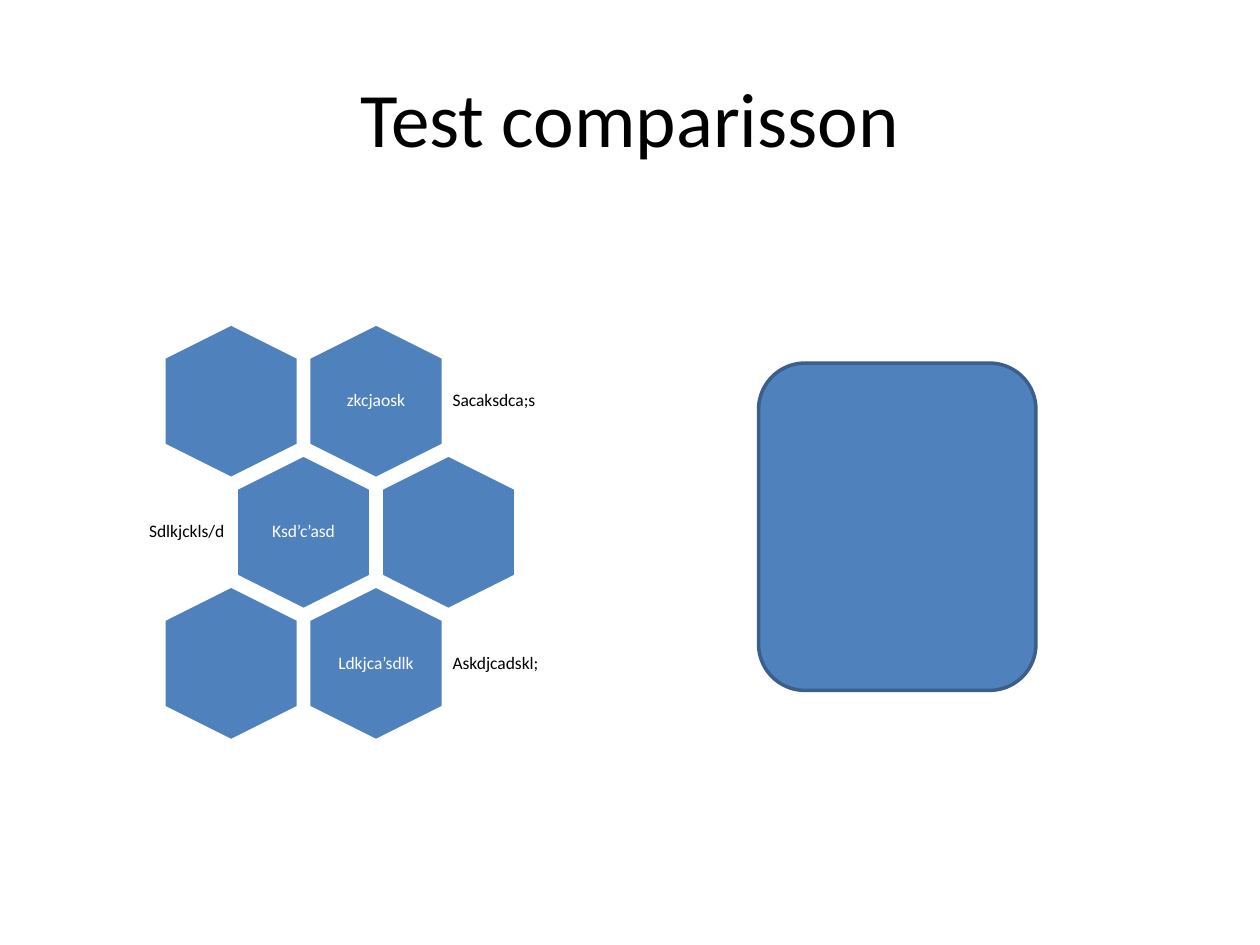
"""Build a slide with a labelled honeycomb beside a rounded panel."""
from pptx import Presentation
from pptx.dml.color import RGBColor
from pptx.enum.shapes import MSO_SHAPE
from pptx.enum.text import MSO_ANCHOR, PP_ALIGN
from pptx.util import Pt

FONT = "Calibri"
COLORS = {"blue": "4F81BD", "edge": "3A5F8C", "white": "FFFFFF", "black": "000000"}
ROWS = [
    (0, ["", "zkcjaosk"], "Sacaksdca;s", "right"),
    (41.4, ["Ksd’c’asd", ""], "Sdlkjckls/d", "left"),
    (0, ["", "Ldkjca’sdlk"], "Askdjcadskl;", "right"),
]


def color(name):
    return RGBColor.from_string(COLORS[name])


def style(para, size, tint, align):
    para.alignment = align
    para.font.name = FONT
    para.font.size = Pt(size)
    para.font.color.rgb = color(tint)


def add_block(slide, kind, box, edge):
    block = slide.shapes.add_shape(kind, *map(Pt, box))
    block.shadow.inherit = False
    block.fill.solid()
    block.fill.fore_color.rgb = color("blue")
    block.line.color.rgb = color(edge)
    block.line.width = Pt(2)
    return block


def add_label(slide, text, box, tint, align):
    frame = slide.shapes.add_textbox(*map(Pt, box)).text_frame
    frame.word_wrap = True
    frame.vertical_anchor = MSO_ANCHOR.MIDDLE
    frame.margin_left = frame.margin_right = Pt(3)
    frame.margin_top = frame.margin_bottom = Pt(3)
    para = frame.paragraphs[0]
    para.text = text
    para.line_spacing = 0.9
    style(para, 10, tint, align)


def add_title(slide, text, box):
    title = slide.shapes.title
    title.left, title.top, title.width, title.height = map(Pt, box)
    title.text_frame.vertical_anchor = MSO_ANCHOR.MIDDLE
    title.text_frame.text = text
    style(title.text_frame.paragraphs[0], 44, "black", PP_ALIGN.CENTER)


def add_comb(slide, box):
    left, top, width, height = box
    wide, high = 88.5, 77
    step, pitch = 82.8, (height - high) / 2
    for row, (shift, names, note, side) in enumerate(ROWS):
        y = top + row * pitch
        start = left + 51.8 + shift
        for col, name in enumerate(names):
            x = start + col * step
            cell = add_block(slide, MSO_SHAPE.HEXAGON, (x, y, wide, high), "white")
            cell.rotation = 90
            cell.adjustments[0] = 0.25
            if name:
                add_label(slide, name, (x + 18, y + 8, wide - 36, high - 16),
                          "white", PP_ALIGN.CENTER)
        if side == "right":
            x = start + step + 85
            span, align = left + width - x, PP_ALIGN.LEFT
        else:
            x = left
            span, align = start + 2 - left, PP_ALIGN.RIGHT
        add_label(slide, note, (x, y + 12, span, high - 24), "black", align)


def add_panel(slide, box):
    add_block(slide, MSO_SHAPE.ROUNDED_RECTANGLE, box, "edge")


def main():
    deck = Presentation()
    deck.slide_width, deck.slide_height = Pt(720), Pt(540)
    slide = deck.slides.add_slide(deck.slide_layouts[5])
    add_title(slide, "Test comparisson", (36, 21.6, 648, 90))
    add_comb(slide, (36, 190.8, 318, 226.8))
    add_panel(slide, (433.5, 207.5, 158.5, 187))
    deck.save("out.pptx")


main()
